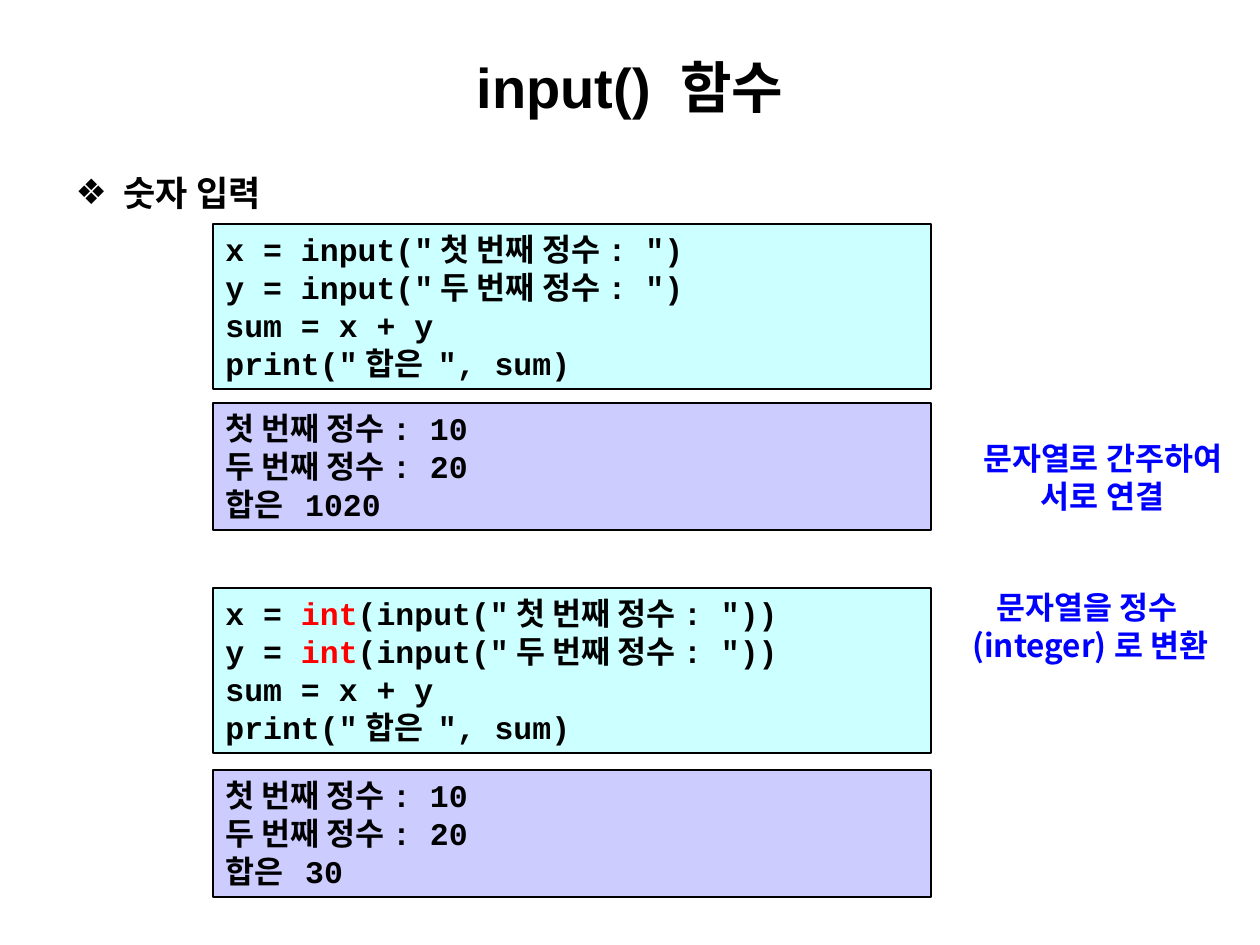
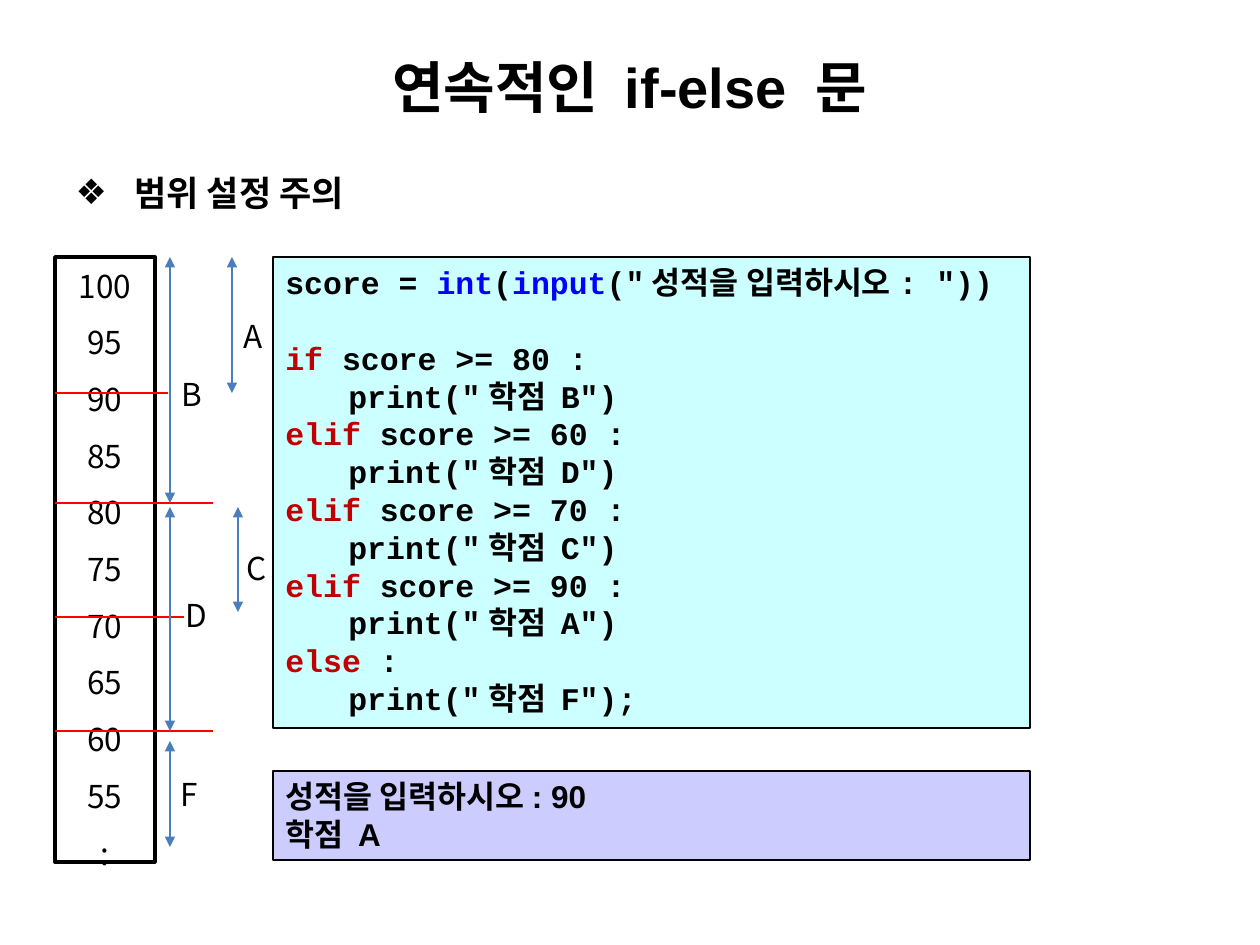
from lxml import etree
from pptx import Presentation
from pptx import util as u
from pptx.dml.color import RGBColor
from pptx.enum import shapes, text
from pptx.oxml import ns

PX_PER_INCH = 126
BLACK, WHITE, RED, BLUE, DARK_RED = "000000", "FFFFFF", "FF0000", "0000FF", "C00000"
CODE_FILL, OUTPUT_FILL, ARROW_BLUE = "CCFFFF", "CCCCFF", "4B7EBC"
SANS, MONO, KOREAN = "Arial", "Courier New", "Noto Sans CJK KR"
CODE_LINE = 21.6

TITLE_BOX = (63, 38, 1134, 97)
BODY_BOX = (63, 165, 1134, 735)

INPUT_TITLE, INPUT_TOPIC = "input() 함수", "숫자 입력"
INPUT_LEFT, INPUT_WIDTH = 213, 718
SUM_LINES = [["sum = x + y"], ['print("합은 ", sum)']]
PROMPTS = ["첫 번째 정수: ", "두 번째 정수: "]
EXAMPLES = [
    {"code": [["x = input(", f'"{PROMPTS[0]}")'], ["y = input(", f'"{PROMPTS[1]}")']],
     "sum": "1020", "code_top": 224, "output_top": 403},
    {"code": [["x = ", "int", f'(input("{PROMPTS[0]}"))'],
              ["y = ", "int", f'(input("{PROMPTS[1]}"))']],
     "sum": "30", "code_top": 588, "output_top": 770},
]
REMARKS = [
    (["문자열로 간주하여", "서로 연결"], (949, 433, 307, 89)),
    (["문자열을 정수(integer)로 변환"], (937, 582, 307, 127)),
]

GRADE_TITLE, GRADE_TOPIC = "연속적인 if-else 문", "범위 설정 주의"
GRADE_LEFT, GRADE_WIDTH = 273, 757
READ_SCORE = ["score = ", "int", "(", "input", '("성적을 입력하시오: "))']
BRANCHES = [("if", " score >= 80 :", "B"), ("elif", " score >= 60 :", "D"),
            ("elif", " score >= 70 :", "C"), ("elif", " score >= 90 :", "A"),
            ("else", " :", "F")]
GRADE_COLOURS = {"int": BLUE, "input": BLUE,
                 "if": DARK_RED, "elif": DARK_RED, "else": DARK_RED}
GRADE_OUTPUT = [["성적을 입력하시오: 90"], ["학점 A"]]
SCALE_BOX = (55, 257, 100, 605)
SCORES = [[str(score)] for score in range(100, 50, -5)] + [[":"]]
CUTS = [(393, 168), (503, 213), (617, 184), (731, 213)]
RANGES = [
    ("A", 232, 257, 393, (231, 311, 47, 50)),
    ("B", 170, 257, 503, (169, 369, 44, 50)),
    ("C", 238, 507, 612, (234, 543, 45, 50)),
    ("D", 170, 507, 731, (173, 590, 48, 50)),
    ("F", 170, 741, 847, (168, 769, 42, 50)),
]


def px(*lengths):
    return [u.Emu(round(length * u.Inches(1) / PX_PER_INCH)) for length in lengths]


def rgb(colour):
    return RGBColor.from_string(colour)


def set_font(font, face, size, colour=BLACK, bold=True):
    font.name, font.size, font.bold = face, u.Pt(size), bold
    font.color.rgb = rgb(colour)


def write(frame, lines, face, colour=BLACK, bold=True, align=text.PP_ALIGN.LEFT,
          spacing=None, highlights={}):
    for number, segments in enumerate(lines):
        line = frame.paragraphs[0] if number == 0 else frame.add_paragraph()
        line.alignment, line.line_spacing = align, spacing
        set_font(line.font, face, 18, colour, bold)
        for segment in segments:
            run = line.add_run()
            run.text = segment
            if segment in highlights:
                run.font.color.rgb = rgb(highlights[segment])


def add_panel(slide, box, fill, line_width=0.75):
    panel = slide.shapes.add_shape(shapes.MSO_SHAPE.RECTANGLE, *px(*box))
    panel.shadow.inherit = False
    panel.fill.solid()
    panel.fill.fore_color.rgb = rgb(fill)
    panel.line.color.rgb = rgb(BLACK)
    panel.line.width = u.Pt(line_width)
    return panel.text_frame


def add_listing(slide, box, fill, lines, face=MONO, highlights={}):
    listing = add_panel(slide, box, fill)
    listing.vertical_anchor = text.MSO_ANCHOR.TOP
    listing.auto_size = text.MSO_AUTO_SIZE.SHAPE_TO_FIT_TEXT
    write(listing, lines, face, highlights=highlights)
    return listing


def add_label(slide, box, lines, wrap, **style):
    label = slide.shapes.add_textbox(*px(*box)).text_frame
    label.word_wrap = wrap
    label.auto_size = text.MSO_AUTO_SIZE.SHAPE_TO_FIT_TEXT
    write(label, [[line] for line in lines], KOREAN, **style)


def add_line(slide, ends, colour, arrows=False):
    line = slide.shapes.add_connector(shapes.MSO_CONNECTOR.STRAIGHT, *px(*ends))
    line.line.color.rgb = rgb(colour)
    line.line.width = u.Pt(0.75)
    if arrows:
        for end in ("a:headEnd", "a:tailEnd"):
            etree.SubElement(line.line._get_or_add_ln(), ns.qn(end), type="triangle")
    etree.SubElement(line._element.spPr, ns.qn("a:effectLst"))


def place(placeholder, box):
    placeholder.left, placeholder.top, placeholder.width, placeholder.height = px(*box)
    return placeholder.text_frame


def start_slide(deck, title, topic, indent):
    slide = deck.slides.add_slide(deck.slide_layouts[1])
    heading = place(slide.shapes.title, TITLE_BOX)
    heading.text = title
    heading.vertical_anchor = text.MSO_ANCHOR.MIDDLE
    heading.paragraphs[0].alignment = text.PP_ALIGN.CENTER
    set_font(heading.paragraphs[0].font, SANS, 32)

    body = place(slide.placeholders[1], BODY_BOX)
    body.text = topic
    bullet = body.paragraphs[0]
    bullet.space_before = u.Pt(0)
    properties = bullet._p.get_or_add_pPr()
    margin = px(indent)[0]
    properties.set("marL", str(margin))
    properties.set("indent", str(-margin))
    etree.SubElement(properties, ns.qn("a:buChar"), char="❖")
    set_font(bullet.font, KOREAN, 20)
    return slide


def build_input_slide(deck):
    slide = start_slide(deck, INPUT_TITLE, INPUT_TOPIC, 48)
    for example in EXAMPLES:
        add_listing(slide, (INPUT_LEFT, example["code_top"], INPUT_WIDTH, 165),
                    CODE_FILL, example["code"] + SUM_LINES, highlights={"int": RED})
        output = [[PROMPTS[0] + "10"], [PROMPTS[1] + "20"], ["합은  " + example["sum"]]]
        add_listing(slide, (INPUT_LEFT, example["output_top"], INPUT_WIDTH, 127),
                    OUTPUT_FILL, output)
    for lines, box in REMARKS:
        add_label(slide, box, lines, True, colour=BLUE, align=text.PP_ALIGN.CENTER)


def build_grade_slide(deck):
    slide = start_slide(deck, GRADE_TITLE, GRADE_TOPIC, 59)
    code = [READ_SCORE]
    for keyword, condition, grade in BRANCHES:
        code += [[keyword, condition], [f'\tprint("학점 {grade}")']]
    code[-1].append(";")
    listing = add_listing(slide, (GRADE_LEFT, 257, GRADE_WIDTH, 471), CODE_FILL, code,
                          highlights=GRADE_COLOURS)
    listing.paragraphs[1].space_before = u.Pt(CODE_LINE)
    add_listing(slide, (GRADE_LEFT, 771, GRADE_WIDTH, 89), OUTPUT_FILL, GRADE_OUTPUT, SANS)

    scale = add_panel(slide, SCALE_BOX, WHITE, 2)
    scale.vertical_anchor = text.MSO_ANCHOR.MIDDLE
    write(scale, SCORES, KOREAN, bold=False, align=text.PP_ALIGN.CENTER, spacing=1.5)
    for y, right in CUTS:
        add_line(slide, (SCALE_BOX[0], y, right, y), RED)
    for grade, x, top, bottom, box in RANGES:
        add_line(slide, (x, top, x, bottom), ARROW_BLUE, arrows=True)
        add_label(slide, box, [grade], False, bold=False)


def main():
    deck = Presentation()
    deck.slide_width, deck.slide_height = px(1260, 945)
    build_input_slide(deck)
    build_grade_slide(deck)
    deck.save("out.pptx")


if __name__ == "__main__":
    main()
